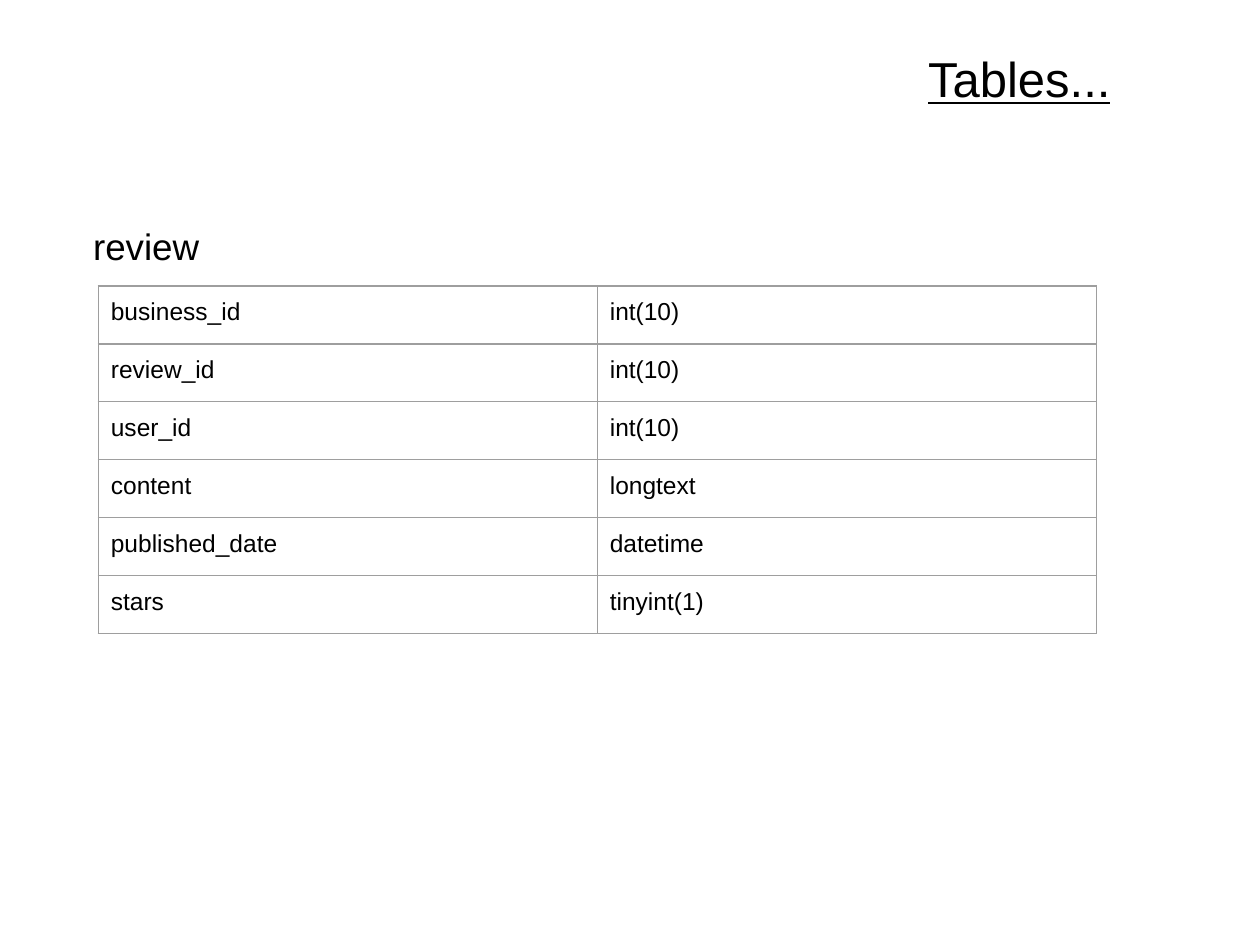
from dataclasses import dataclass

from lxml import etree
from pptx import Presentation
from pptx import util as u
from pptx.dml.color import RGBColor
from pptx.enum import text
from pptx.oxml.ns import qn


@dataclass(frozen=True)
class Theme:
    font: str = "Arial"
    ink: str = "000000"
    paper: str = "FFFFFF"
    rule: str = "9E9E9E"
    title: int = 28
    label: int = 21
    body: int = 14
    line: float = 0.75
    inset: float = 0.1


class Page:
    def __init__(self, slide, theme):
        self.slide = slide
        self.theme = theme
        fill = slide.background.fill
        fill.solid()
        fill.fore_color.rgb = RGBColor.from_string(theme.paper)

    def run(self, para, words, size, under=None):
        run = para.add_run()
        run.text = words
        font = run.font
        font.name = self.theme.font
        font.size = u.Pt(size)
        font.underline = under
        font.color.rgb = RGBColor.from_string(self.theme.ink)

    def pad(self, part):
        inset = u.Inches(self.theme.inset)
        part.margin_left = part.margin_right = inset
        part.margin_top = part.margin_bottom = inset

    def label(self, words, box, size, under=None):
        frame = self.slide.shapes.add_textbox(*map(u.Inches, box)).text_frame
        frame.word_wrap = True
        self.pad(frame)
        para = frame.paragraphs[0]
        self.run(para, words, size, under)
        return frame, para

    def border(self, cell):
        # Border lines come before the fill in the cell properties
        props = cell._tc.get_or_add_tcPr()
        for spot, side in enumerate(("lnL", "lnR", "lnT", "lnB")):
            line = etree.Element(qn(f"a:{side}"), w=str(u.Pt(self.theme.line)))
            fill = etree.SubElement(line, qn("a:solidFill"))
            etree.SubElement(fill, qn("a:srgbClr"), val=self.theme.rule)
            props.insert(spot, line)

    def table(self, rows, left, top, wide, high):
        count = len(rows[0])
        size = (u.Inches(wide * count), u.Inches(high * len(rows)))
        frame = self.slide.shapes.add_table(
            len(rows), count, u.Inches(left), u.Inches(top), *size)
        grid = frame.table
        grid.first_row = grid.horz_banding = False
        for col in grid.columns:
            col.width = u.Inches(wide)
        for y, row in enumerate(rows):
            grid.rows[y].height = u.Inches(high)
            for x, words in enumerate(row):
                cell = grid.cell(y, x)
                cell.fill.background()
                self.pad(cell)
                self.border(cell)
                self.run(cell.text_frame.paragraphs[0], words,
                         self.theme.body)


def main():
    deck = Presentation()
    deck.slide_width, deck.slide_height = u.Inches(10), u.Inches(7.5)
    theme = Theme()
    page = Page(deck.slides.add_slide(deck.slide_layouts[6]), theme)

    # Slide title
    frame, para = page.label("Tables...", (6.36, 0.26, 3.46, 0.78),
                             theme.title, under=True)
    frame.vertical_anchor = text.MSO_ANCHOR.MIDDLE
    para.alignment = text.PP_ALIGN.CENTER
    para.line_spacing = 0.9
    para.space_before = u.Pt(10)

    # Table name
    page.label("review", (0.64, 1.68, 7.42, 0.57), theme.label)

    # Fields and their types
    fields = [
        ("business_id", "int(10)"),
        ("review_id", "int(10)"),
        ("user_id", "int(10)"),
        ("content", "longtext"),
        ("published_date", "datetime"),
        ("stars", "tinyint(1)"),
    ]
    page.table(fields, 0.78, 2.27, wide=3.96, high=0.46)

    deck.save("out.pptx")


if __name__ == "__main__":
    main()
